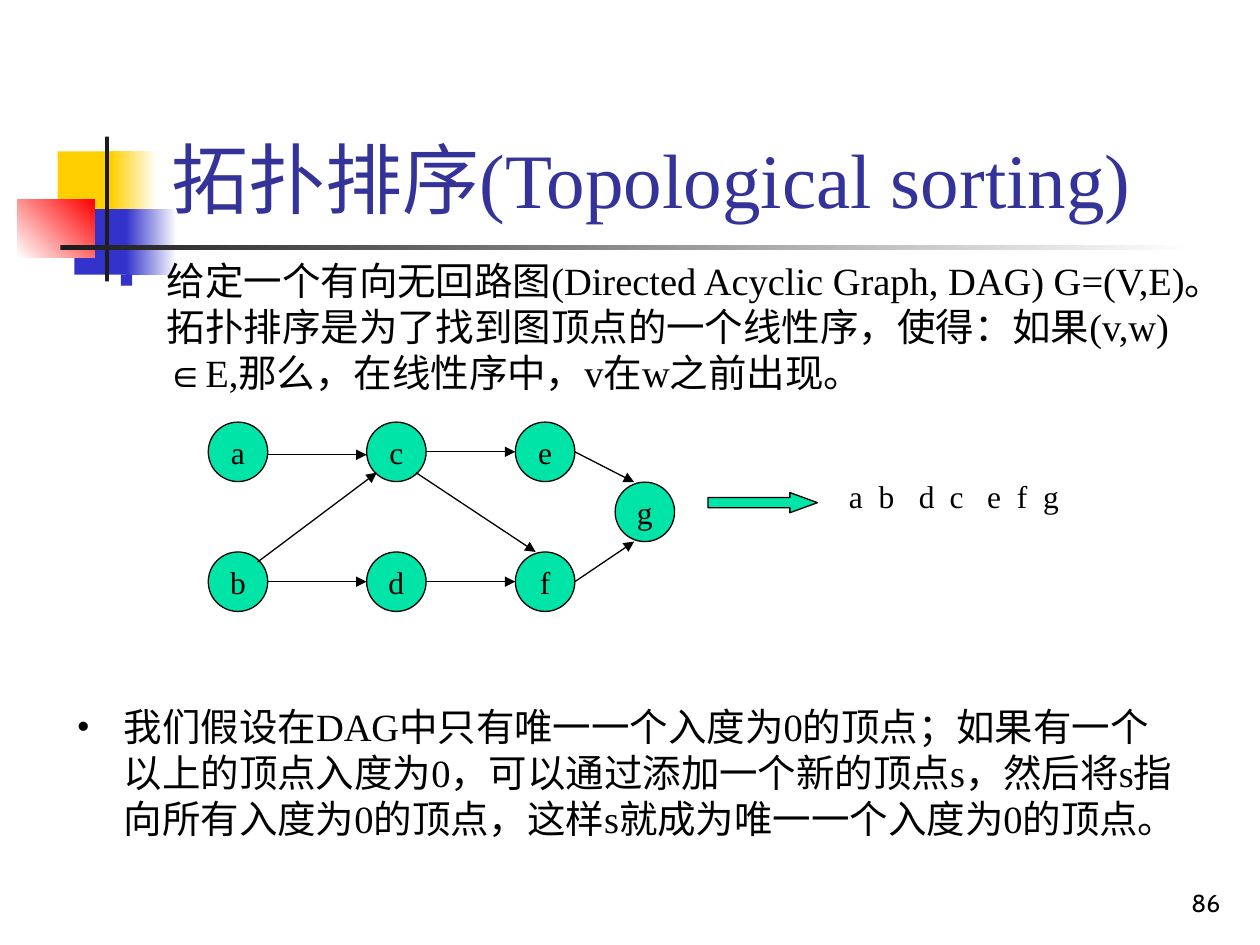
import pptx
import pptx.dml.color
import pptx.enum.shapes
import pptx.enum.text
import pptx.oxml
import pptx.oxml.ns
import pptx.util
from lxml import etree

Pt = pptx.util.Pt
SHAPE = pptx.enum.shapes.MSO_SHAPE
ALIGN = pptx.enum.text.PP_ALIGN
ANCHOR = pptx.enum.text.MSO_ANCHOR

# Content
TITLE = "拓扑排序(Topological sorting)"
DEFINITION = ("给定一个有向无回路图(Directed Acyclic Graph, DAG) G=(V,E)。"
              "拓扑排序是为了找到图顶点的一个线性序，使得：如果(v,w) ∈E,"
              "那么，在线性序中，v在w之前出现。")
ASSUMPTION = ("我们假设在DAG中只有唯一一个入度为0的顶点；如果有一个以上的顶点入度为0，"
              "可以通过添加一个新的顶点s，然后将s指向所有入度为0的顶点，"
              "这样s就成为唯一一个入度为0的顶点。")
ORDER = ["a", "b", "d", "c", "e", "f", "g"]
ORDER_STOPS = [17, 40, 57.5, 79, 96, 111]
PAGE_NUMBER = "86"

# Graph: node positions, and edges with anchors as fractions of a node
NODE_SIZE = 34
COLUMNS = [119, 209.5, 294.5, 351.5]
ROWS = [241.2, 275.5, 315.4]
NODES = {"a": (0, 0), "b": (0, 2), "c": (1, 0), "d": (1, 2),
         "e": (2, 0), "f": (2, 2), "g": (3, 1)}
RIGHT, LEFT = (1, 0.5), (0, 0.5)
EDGES = [
    ("a", (1, 0.55), "c", (0, 0.55)),
    ("b", (0.83, 0.17), "c", (0.17, 0.85)),
    ("b", RIGHT, "d", LEFT),
    ("c", RIGHT, "e", LEFT),
    ("c", (0.83, 0.85), "f", (0.34, 0)),
    ("d", RIGHT, "f", LEFT),
    ("e", RIGHT, "g", (0.32, 0)),
    ("f", RIGHT, "g", (0.32, 1)),
]

THEME = {
    "font": "Times New Roman", "number_font": "Cabin",
    "title": 44, "body": 22, "label": 18, "number": 14,
    "heading": "333399", "text": "000000", "node": "00E4A8",
    "yellow": "FFCF01", "blue": "3333CC", "red": "FF0000",
    "dark": "1C1C1C", "white": "FFFFFF",
}

# Decoration: box, start colour, end colour (None for a solid fill), angle
DECORATION = [
    ((33, 86.5, 34.5, 37.5), "yellow", None, 0),
    ((63.5, 86.5, 26, 37.5), "yellow", "white", 0),
    ((42.5, 119.5, 33, 37.5), "blue", None, 0),
    ((72, 119.5, 29, 37.5), "blue", "white", 0),
    ((10, 113.8, 44, 33.2), "white", "red", 45),
    ((60, 78, 2.3, 82.8), "dark", None, 0),
    ((34.5, 140.2, 648, 2.4), "dark", "white", 0),
]


def color(name):
    return pptx.dml.color.RGBColor.from_string(THEME[name])


def points(values):
    return [Pt(value) for value in values]


def write(shape, text, size, tint="text", font="font", align=ALIGN.LEFT,
          anchor=ANCHOR.TOP, wrap=True):
    frame = shape.text_frame
    frame.text = text
    frame.word_wrap = wrap
    frame.auto_size = pptx.enum.text.MSO_AUTO_SIZE.NONE
    frame.vertical_anchor = anchor
    para = frame.paragraphs[0]
    para.alignment = align
    para.space_before = Pt(0)
    for span in para.runs:
        span.font.size = Pt(THEME[size])
        span.font.name = THEME[font]
        span.font.color.rgb = color(tint)
    return para


def add_bullet(para, mark, tint, percent):
    props = para._p.get_or_add_pPr()
    props.set("marL", str(Pt(27)))
    props.set("indent", str(Pt(-27)))
    ns = pptx.oxml.ns.nsdecls("a")
    for markup in (
        f'<a:buClr {ns}><a:srgbClr val="{THEME[tint]}"/></a:buClr>',
        f'<a:buSzPct {ns} val="{percent * 1000}"/>',
        f'<a:buFont {ns} typeface="{THEME["font"]}"/>',
        f'<a:buChar {ns} char="{mark}"/>',
    ):
        props.append(pptx.oxml.parse_xml(markup))


def add_filled(page, kind, area, tint, outlined=False):
    shape = page.shapes.add_shape(kind, *points(area))
    shape.shadow.inherit = False
    shape.fill.solid()
    shape.fill.fore_color.rgb = color(tint)
    if outlined:
        shape.line.color.rgb = color("text")
        shape.line.width = Pt(0.75)
    else:
        shape.line.fill.background()
    return shape


def node_point(name, anchor=(0, 0)):
    column, row = NODES[name]
    return (COLUMNS[column] + anchor[0] * NODE_SIZE,
            ROWS[row] + anchor[1] * NODE_SIZE)


def add_edge(page, start, end):
    edge = page.shapes.add_connector(
        pptx.enum.shapes.MSO_CONNECTOR.STRAIGHT, *points(start + end))
    edge.line.color.rgb = color("text")
    edge.line.width = Pt(0.75)
    qn = pptx.oxml.ns.qn
    etree.SubElement(edge.line._get_or_add_ln(), qn("a:tailEnd"), type="triangle")
    etree.SubElement(edge._element.spPr, qn("a:effectLst"))


def place(shape, area):
    shape.left, shape.top, shape.width, shape.height = points(area)
    return shape


def main():
    deck = pptx.Presentation()
    deck.slide_width, deck.slide_height = Pt(720), Pt(540)
    page = deck.slides.add_slide(deck.slide_layouts[1])
    title, body = page.placeholders

    # Corner blocks and rules, kept behind the text
    for position, (area, start, end, angle) in enumerate(DECORATION):
        block = add_filled(page, SHAPE.RECTANGLE, area, start)
        if end:
            block.fill.gradient()
            block.fill.gradient_angle = angle
            for stop, tint in zip(block.fill.gradient_stops, (start, end)):
                stop.color.rgb = color(tint)
        title._element.addprevious(block._element)

    # Title and the two bulleted paragraphs
    place(title, (90.7, 16.6, 613.4, 115.2))
    write(title, TITLE, "title", "heading", anchor=ANCHOR.BOTTOM)
    place(body, (61.2, 143.3, 648, 116))
    add_bullet(write(body, DEFINITION, "body"), "■", "blue", 60)
    note = page.shapes.add_textbox(*points((36.7, 398.2, 648, 116)))
    add_bullet(write(note, ASSUMPTION, "body"), "•", "text", 100)

    # Graph
    for name in NODES:
        area = (*node_point(name), NODE_SIZE, NODE_SIZE)
        node = add_filled(page, SHAPE.OVAL, area, "node", outlined=True)
        write(node, name, "label", align=ALIGN.CENTER, anchor=ANCHOR.MIDDLE, wrap=False)
    for source, exit_at, target, enter_at in EDGES:
        add_edge(page, node_point(source, exit_at), node_point(target, enter_at))

    # Resulting order
    arrow = add_filled(page, SHAPE.RIGHT_ARROW, (404.6, 281.5, 62.6, 11.5), "node", outlined=True)
    arrow.adjustments[0], arrow.adjustments[1] = 0.5, 1.37
    order = page.shapes.add_textbox(*points((478, 269.3, 135, 28.8)))
    para = write(order, "\t".join(ORDER), "label")
    qn = pptx.oxml.ns.qn
    tabs = etree.SubElement(para._p.get_or_add_pPr(), qn("a:tabLst"))
    for stop in ORDER_STOPS:
        etree.SubElement(tabs, qn("a:tab"), pos=str(Pt(stop)), algn="l")

    # Page number
    number = page.shapes.add_textbox(*points((554.4, 491.8, 150, 36)))
    write(number, PAGE_NUMBER, "number", font="number_font", align=ALIGN.RIGHT,
          anchor=ANCHOR.BOTTOM)

    deck.save("out.pptx")


if __name__ == "__main__":
    main()
